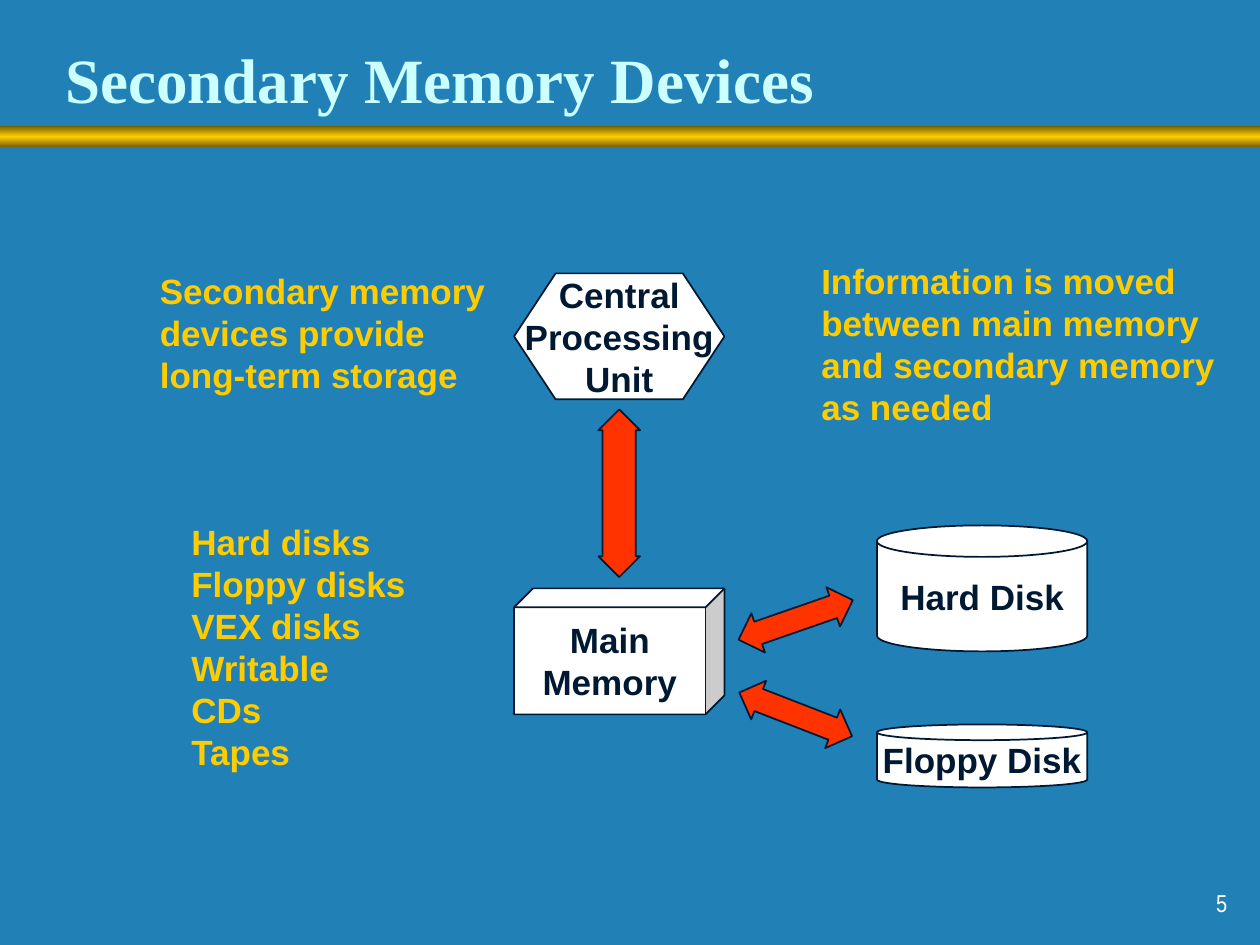
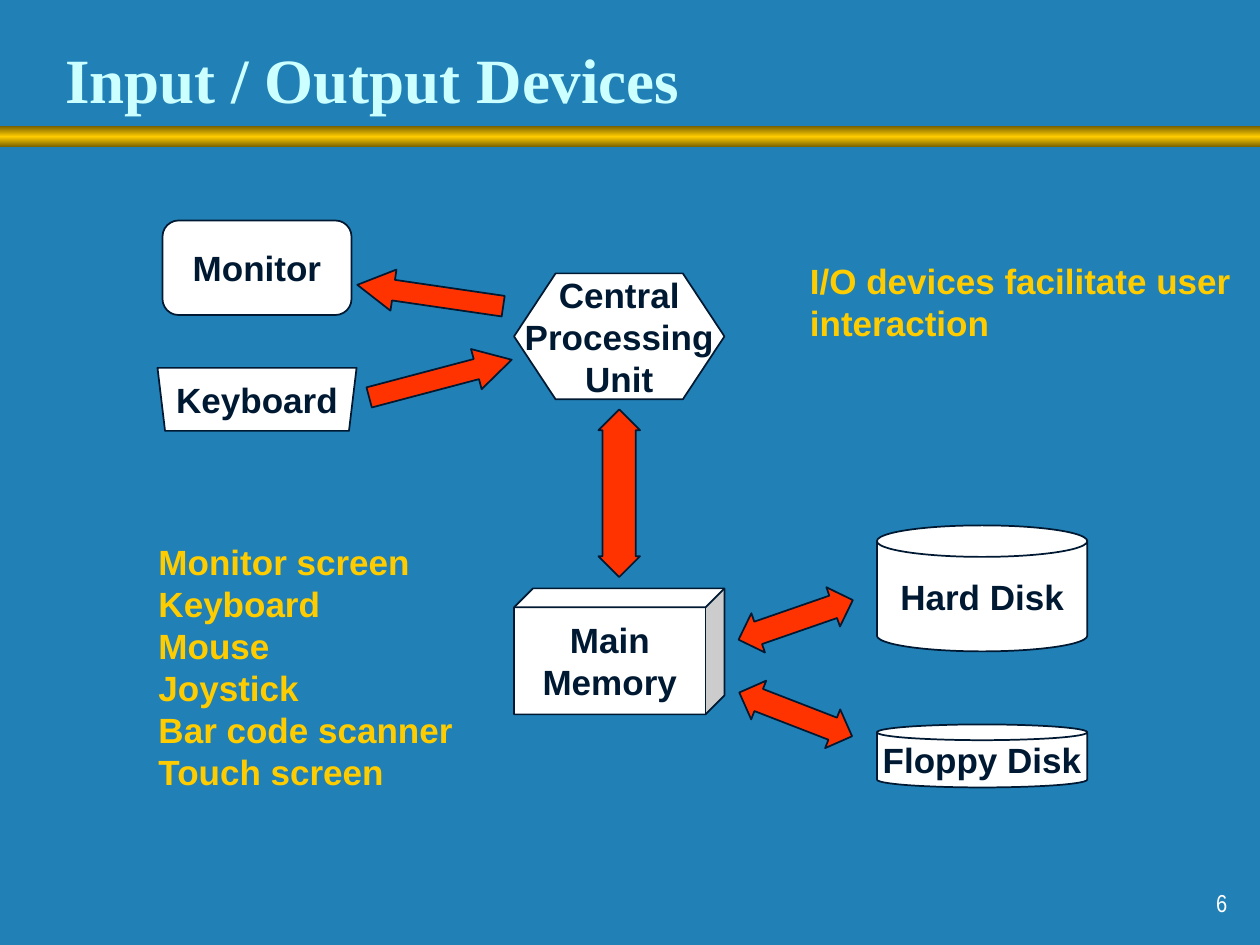
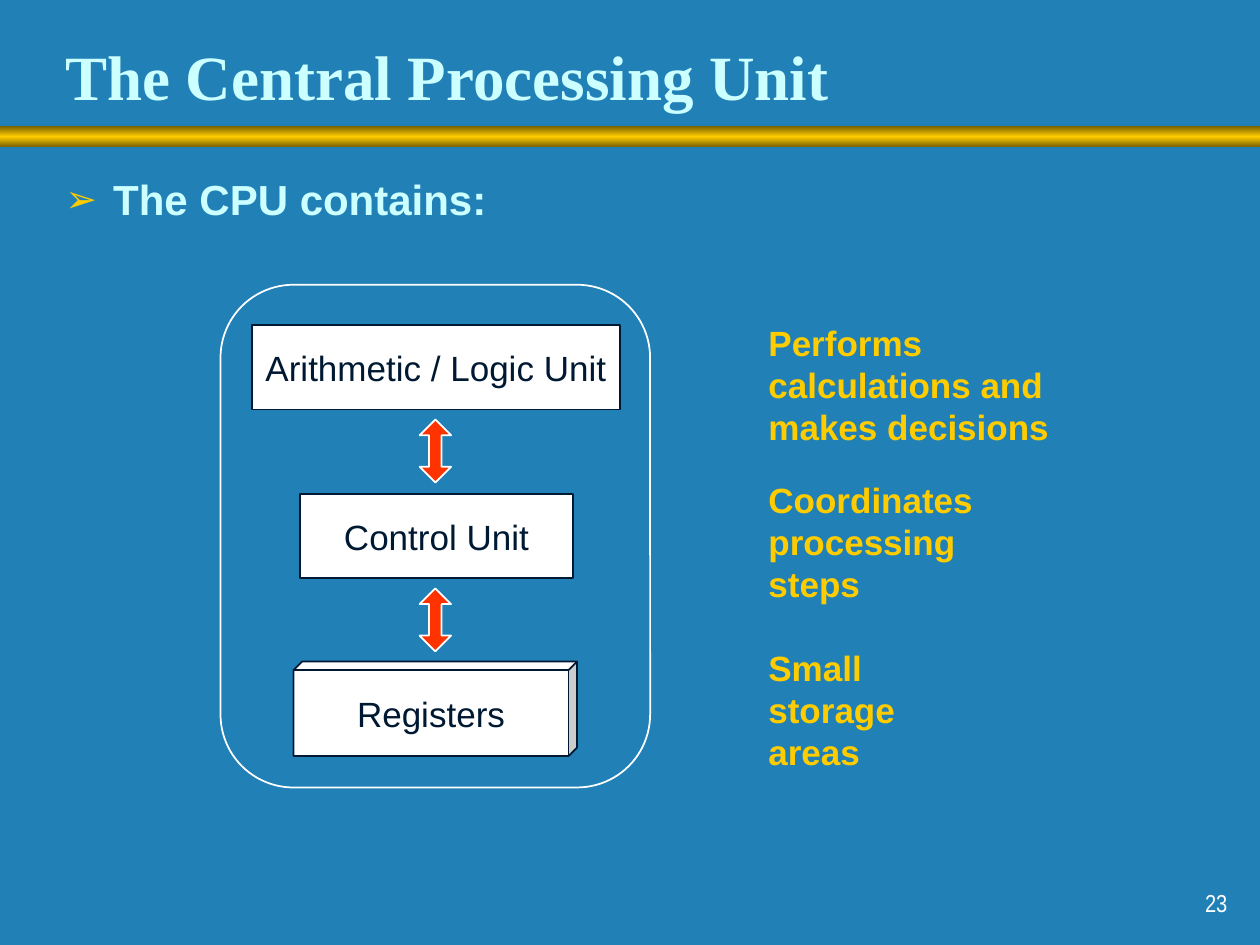
from copy import deepcopy

from lxml import etree
from pptx import Presentation
from pptx.dml.color import RGBColor
from pptx.enum.shapes import MSO_SHAPE
from pptx.enum.text import MSO_ANCHOR, PP_ALIGN
from pptx.oxml.ns import qn
from pptx.util import Inches, Pt

CAN = MSO_SHAPE.CAN
CUBE = MSO_SHAPE.CUBE
HEXAGON = MSO_SHAPE.HEXAGON
RECTANGLE = MSO_SHAPE.RECTANGLE
ROUNDED = MSO_SHAPE.ROUNDED_RECTANGLE
UP_ARROW = MSO_SHAPE.UP_ARROW
UP_DOWN_ARROW = MSO_SHAPE.UP_DOWN_ARROW
TOP, MIDDLE, BOTTOM = MSO_ANCHOR.TOP, MSO_ANCHOR.MIDDLE, MSO_ANCHOR.BOTTOM
LEFT, CENTER, RIGHT = PP_ALIGN.LEFT, PP_ALIGN.CENTER, PP_ALIGN.RIGHT

color = RGBColor.from_string
BLUE = "2181B7"
NAVY = "001932"
WHITE = "FFFFFF"
GOLD = "FFCC00"
DARK_GOLD = "755E00"
PALE = "CCFFFF"
RED = "FF3300"


def write_text(shape, lines, size=20, font="Arial", ink=GOLD, bold=True,
               align=LEFT, anchor=TOP, wrap=True):
    frame = shape.text_frame
    frame.word_wrap = wrap
    frame.vertical_anchor = anchor
    frame.text = "\n".join(lines)
    for para in frame.paragraphs:
        para.alignment = align
        para.font.size = Pt(size)
        para.font.name = font
        para.font.bold = bold
        para.font.color.rgb = color(ink)


def draw_shape(page, kind, place, fill=WHITE, line=NAVY, adjust=(), turn=0):
    shape = page.shapes.add_shape(kind, *map(Inches, place))
    shape.shadow.inherit = False
    shape.rotation = turn
    for index, value in enumerate(adjust):
        shape.adjustments[index] = value
    if fill:
        shape.fill.solid()
        shape.fill.fore_color.rgb = color(fill)
    else:
        shape.fill.background()
    shape.line.color.rgb = color(line)
    shape.line.width = Pt(1)
    return shape


deck = Presentation()
deck.slide_width = Inches(10)
deck.slide_height = Inches(7.5)
background = deck.slide_master.background.fill
background.solid()
background.fore_color.rgb = color(BLUE)

pages = []
for title, number, anchor in [
    ("Secondary Memory Devices", "5", BOTTOM),
    ("Input / Output Devices", "6", BOTTOM),
    ("The Central Processing Unit", "23", MIDDLE),
]:
    page = deck.slides.add_slide(deck.slide_layouts[6])
    pages.append(page)

    band = draw_shape(page, RECTANGLE, (0, 1, 10, 0.17))
    band.line.fill.background()
    band.fill.gradient()
    band.fill.gradient_angle = 90
    stop_list = band._element.spPr.find(".//" + qn("a:gsLst"))
    stop_list.insert(1, deepcopy(stop_list[0]))
    for stop, position, tone in zip(band.fill.gradient_stops, (0, 0.5, 1),
                                    (DARK_GOLD, GOLD, DARK_GOLD)):
        stop.position = position
        stop.color.rgb = color(tone)

    title_box = page.shapes.add_textbox(Inches(0.42), Inches(0.22), Inches(8.55), Inches(0.75))
    write_text(title_box, [title], 36, "Times New Roman", PALE, anchor=anchor)

    number_box = page.shapes.add_textbox(Inches(7.76), Inches(6.83), Inches(2.08), Inches(0.5))
    write_text(number_box, [number], 14, "Arial Narrow", WHITE, False, RIGHT, BOTTOM)
    number_box.text_frame.paragraphs[0].space_before = Pt(8.8)

memory_page, devices_page, cpu_page = pages

for page in (memory_page, devices_page):
    for kind, place, adjust, lines in [
        (CAN, (6.96, 5.75, 1.67, 0.5), 0.25, ["Floppy Disk"]),
        (CAN, (6.96, 4.17, 1.67, 1), 0.25, ["Hard Disk"]),
        (CUBE, (4.08, 4.67, 1.67, 1), 0.15, ["Main", "Memory"]),
        (HEXAGON, (4.08, 2.17, 1.67, 1), 0.33, ["Central", "Processing", "Unit"]),
    ]:
        part = draw_shape(page, kind, place, adjust=[adjust])
        write_text(part, lines, ink=NAVY, align=CENTER, anchor=MIDDLE, wrap=False)
    for place, head, turn in [
        ((6.15, 4.44, 0.33, 0.96), 0.57, 70.9),
        ((6.15, 5.19, 0.33, 0.96), 0.57, 111.2),
        ((4.75, 3.25, 0.33, 1.33), 0.8, 0),
    ]:
        draw_shape(page, UP_DOWN_ARROW, place, RED, adjust=[0.5, head], turn=turn)

monitor = draw_shape(devices_page, ROUNDED, (1.29, 1.75, 1.5, 0.75), adjust=[0.17])
outline = devices_page.shapes.build_freeform(Inches(1.25), Inches(2.92))
outline.add_line_segments([(Inches(x), Inches(y)) for x, y in
                           [(2.83, 2.92), (2.77, 3.42), (1.31, 3.42)]])
keyboard = outline.convert_to_shape()
keyboard.shadow.inherit = False
keyboard.fill.solid()
keyboard.fill.fore_color.rgb = color(WHITE)
keyboard.line.color.rgb = color(NAVY)
keyboard.line.width = Pt(1)
for device, name in [(monitor, "Monitor"), (keyboard, "Keyboard")]:
    write_text(device, [name], ink=NAVY, align=CENTER, anchor=MIDDLE, wrap=False)
for place, turn in [((3.25, 1.76, 0.33, 1.17), 278.3), ((3.33, 2.42, 0.33, 1.17), 75.2)]:
    draw_shape(devices_page, UP_ARROW, place, RED, adjust=[0.5, 0.88], turn=turn)

draw_shape(cpu_page, ROUNDED, (1.75, 2.26, 3.41, 3.99), None, WHITE, [0.17])
for kind, place, adjust, name in [
    (RECTANGLE, (2, 2.58, 2.92, 0.67), [], "Arithmetic / Logic Unit"),
    (RECTANGLE, (2.38, 3.92, 2.17, 0.67), [], "Control Unit"),
    (CUBE, (2.33, 5.25, 2.25, 0.75), [0.09], "Registers"),
]:
    unit = draw_shape(cpu_page, kind, place, adjust=adjust)
    write_text(unit, [name], ink=NAVY, bold=False, align=CENTER, anchor=MIDDLE, wrap=False)
for top in (3.33, 4.67):
    draw_shape(cpu_page, UP_DOWN_ARROW, (3.33, top, 0.25, 0.5), RED, WHITE, [0.5, 0.4])

bullet_box = cpu_page.shapes.add_textbox(Inches(0.42), Inches(1.33), Inches(9.08), Inches(0.7))
write_text(bullet_box, ["The CPU contains:"], 24, ink=PALE)
bullet = bullet_box.text_frame.paragraphs[0]
bullet.space_before = Pt(6)
properties = bullet._p.get_or_add_pPr()
properties.set("marL", str(Inches(0.38)))
properties.set("indent", str(-Inches(0.38)))
bullet_color = etree.SubElement(properties, qn("a:buClr"))
etree.SubElement(bullet_color, qn("a:srgbClr"), val=GOLD)
etree.SubElement(properties, qn("a:buSzPct"), val="90000")
etree.SubElement(properties, qn("a:buFont"), typeface="Arial")
etree.SubElement(properties, qn("a:buChar"), char="➢")

for page, place, lines in [
    (memory_page, (1.17, 2.09, 2.85, 1.1),
     ["Secondary memory", "devices provide", "long-term storage"]),
    (memory_page, (6.42, 2.01, 3.4, 1.44),
     ["Information is moved", "between main memory", "and secondary memory", "as needed"]),
    (memory_page, (1.42, 4.08, 1.92, 2.1),
     ["Hard disks", "Floppy disks", "VEX disks", "Writable CDs", "Tapes"]),
    (devices_page, (6.33, 2.01, 3.6, 0.77),
     ["I/O devices facilitate user", "interaction"]),
    (devices_page, (1.16, 4.24, 2.6, 2.1),
     ["Monitor screen", "Keyboard", "Mouse", "Joystick", "Bar code scanner", "Touch screen"]),
    (cpu_page, (6, 2.5, 2.92, 1.1), ["Performs calculations and makes decisions"]),
    (cpu_page, (6, 3.75, 2.42, 1.1), ["Coordinates processing steps"]),
    (cpu_page, (6, 5.08, 1.96, 1.1), ["Small storage areas"]),
]:
    note = page.shapes.add_textbox(*map(Inches, place))
    write_text(note, lines)

deck.save("out.pptx")
